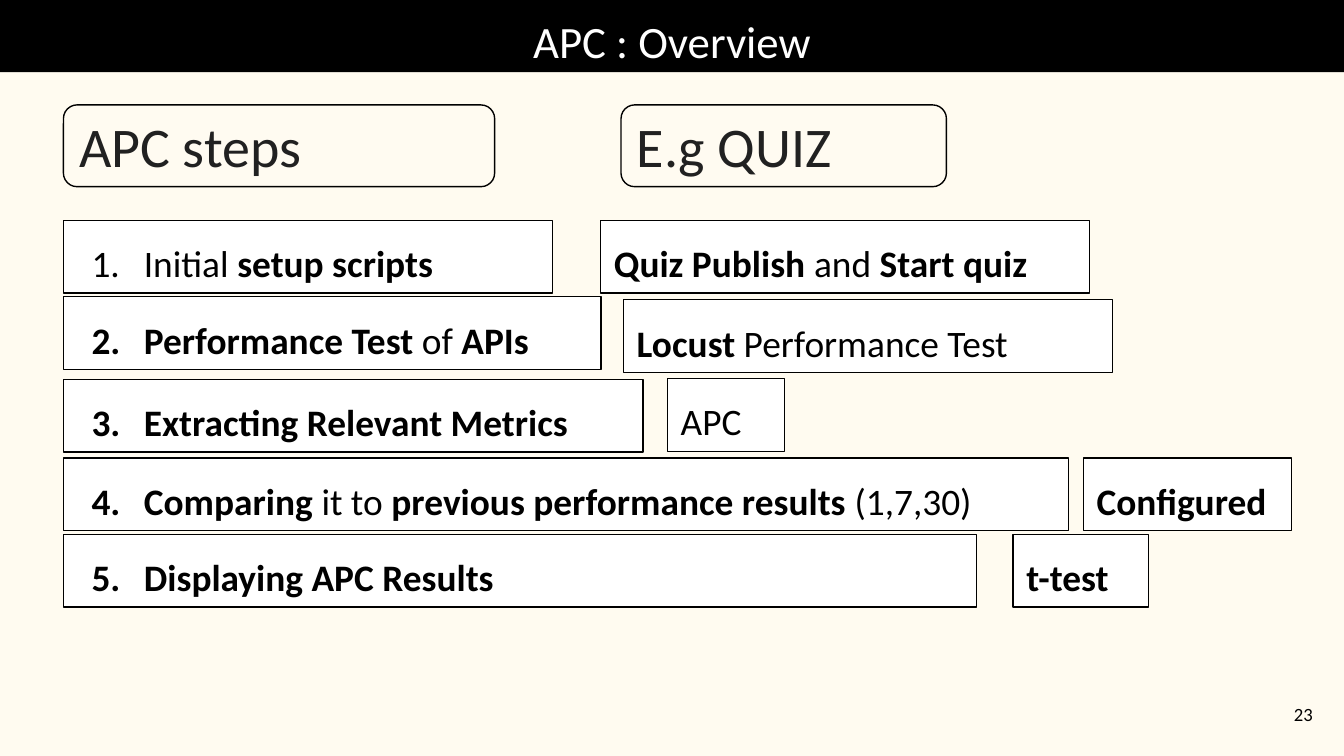
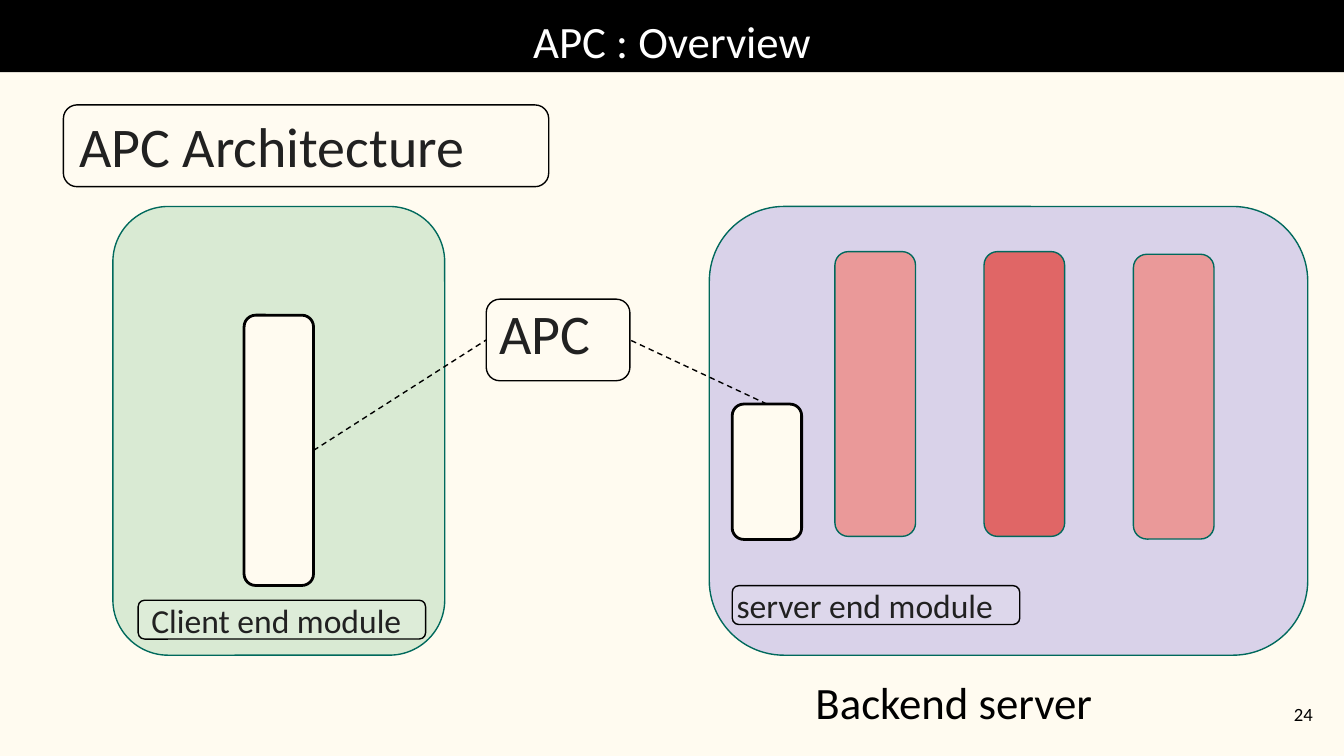
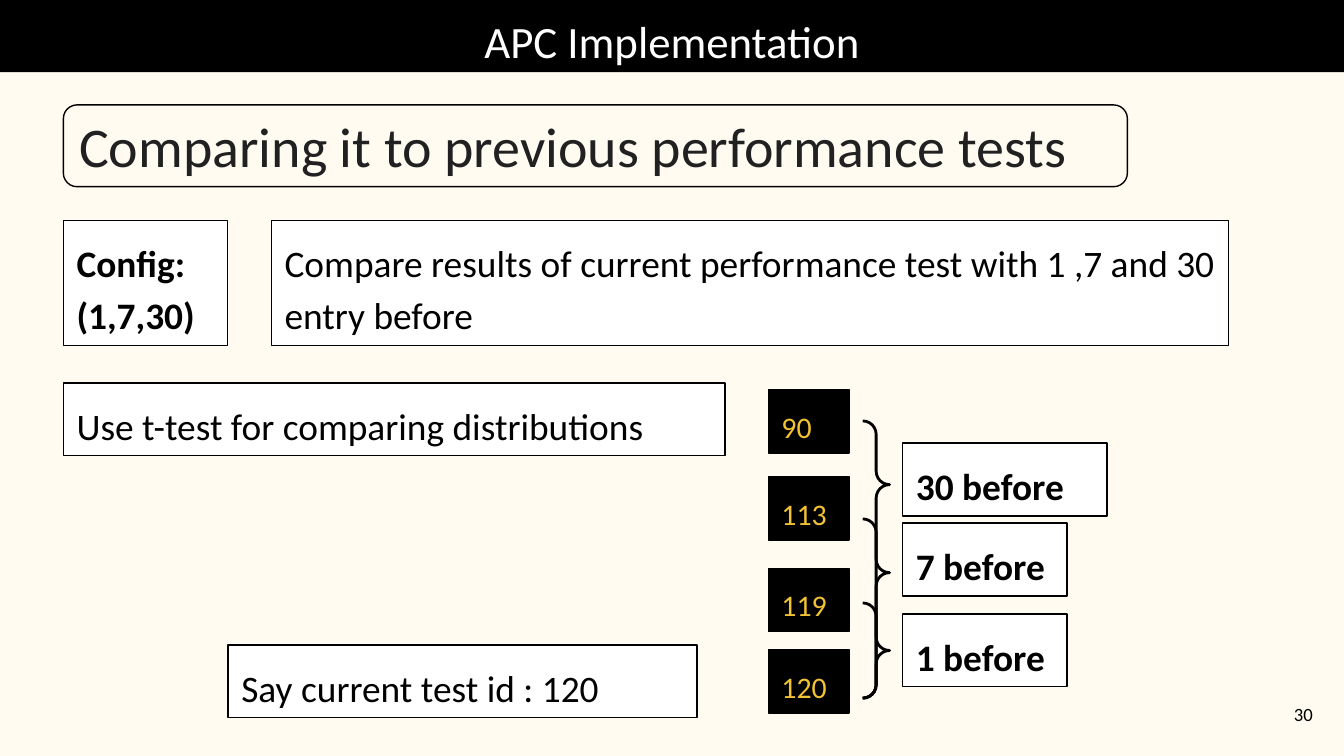
"""Build three slides on the APC performance checker."""
from pptx import Presentation
from pptx import util as u
from pptx.dml import color
from pptx.enum import dml, shapes, text
from pptx.oxml import ns, xmlchemy

FONT = "Calibri"
BLACK, WHITE, CREAM = "000000", "FFFFFF", "FFFBF0"
TEAL, GOLD = "00695C", "F1C232"
GREEN, LILAC, ROSE, RED = "D9EAD3", "D9D2E9", "EA9999", "E06666"
INSET = 7.2
EDGE = 34
ROW_HEIGHT = 39
KIND = shapes.MSO_SHAPE


def rgb(code):
    """Turn a hex string into a colour."""
    return color.RGBColor.from_string(code)


def points(values):
    """Turn plain numbers into lengths in points."""
    return [u.Pt(value) for value in values]


def add_child(parent, tag, **attributes):
    """Append an empty DrawingML element."""
    child = xmlchemy.OxmlElement(tag)
    for name, value in attributes.items():
        child.set(name, str(value))
    parent.append(child)


def draw(slide, kind, place, fill=None, line=BLACK, weight=0.75):
    """Draw a preset shape at (left, top, width, height)."""
    figure = slide.shapes.add_shape(kind, *points(place))
    figure.shadow.inherit = False
    if fill:
        figure.fill.solid()
        figure.fill.fore_color.rgb = rgb(fill)
    else:
        figure.fill.background()
    if line:
        figure.line.color.rgb = rgb(line)
        figure.line.width = u.Pt(weight)
    else:
        figure.line.fill.background()
    return figure


def write(holder, words, size, ink=BLACK, align=text.PP_ALIGN.LEFT,
          anchor=text.MSO_ANCHOR.TOP):
    """Write one paragraph in which *stars* mark the bold parts."""
    frame = holder.text_frame
    frame.word_wrap = True
    frame.auto_size = text.MSO_AUTO_SIZE.NONE
    frame.vertical_anchor = anchor
    frame.margin_left = frame.margin_right = u.Pt(INSET)
    frame.margin_top = frame.margin_bottom = u.Pt(INSET)
    paragraph = frame.paragraphs[0]
    paragraph.alignment = align
    for index, part in enumerate(words.split("*")):
        if part:
            run = paragraph.add_run()
            run.text = part
            run.font.name = FONT
            run.font.size = u.Pt(size)
            run.font.bold = index % 2 == 1
            run.font.color.rgb = rgb(ink)
    return paragraph


def add_label(slide, words, size, left, top, width):
    """Add free text one line high."""
    height = size * 1.22 + 2 * INSET
    label = slide.shapes.add_textbox(*points((left, top, width, height)))
    write(label, words, size)


def add_box(slide, words, place, number=None, size=20, fill=WHITE, ink=BLACK):
    """Add a bordered box of text, numbered if a number is given."""
    paragraph = write(draw(slide, KIND.RECTANGLE, place, fill), words, size, ink)
    paragraph.line_spacing = 1.15
    if number is None:
        paragraph.space_after = u.Pt(16)
        return
    properties = paragraph._p.get_or_add_pPr()
    properties.set("marL", str(u.Pt(36)))
    properties.set("indent", str(u.Pt(-28)))
    add_child(properties, "a:buAutoNum", type="arabicPeriod", startAt=number)


def add_veil(slide, place):
    """Add a rounded outline with a faint white fill."""
    veil = draw(slide, KIND.ROUNDED_RECTANGLE, place, WHITE)
    tint = veil._element.spPr.find(ns.qn("a:solidFill"))[0]
    add_child(tint, "a:alpha", val=13000)
    return veil


def add_heading(slide, words, left, width, text_width=309):
    """Add a large heading under a rounded veil."""
    add_label(slide, words, 30, left + 1.3, 52.6, text_width)
    add_veil(slide, (left, 56.2, width, 43.8))


def link(slide, start, start_site, end, end_site):
    """Join two shapes with a dashed line."""
    dash = slide.shapes.add_connector(shapes.MSO_CONNECTOR.STRAIGHT, 0, 0, 0, 0)
    dash.begin_connect(start, start_site)
    dash.end_connect(end, end_site)
    dash.line.color.rgb = rgb(BLACK)
    dash.line.width = u.Pt(0.75)
    dash.line.dash_style = dml.MSO_LINE.DASH
    add_child(dash._element.spPr, "a:effectLst")


def new_slide(deck, title, page):
    """Add a slide with its title band and page number."""
    slide = deck.slides.add_slide(deck.slide_layouts[6])
    slide.background.fill.solid()
    slide.background.fill.fore_color.rgb = rgb(CREAM)
    band = draw(slide, KIND.RECTANGLE, (0, 0, 720, 38.7), BLACK, None)
    write(band, title, 24, WHITE, text.PP_ALIGN.CENTER)
    folio = slide.shapes.add_textbox(*points((667.2, 367.2, 43.2, 31)))
    write(folio, str(page), 10, align=text.PP_ALIGN.RIGHT,
          anchor=text.MSO_ANCHOR.MIDDLE)
    return slide


def build_steps(deck):
    """Build the list of steps with an example for each."""
    slide = new_slide(deck, "APC : Overview", 23)
    add_heading(slide, "APC steps", EDGE, 231)
    add_heading(slide, "E.g QUIZ", 332.7, 174.3)
    steps = [
        ("Initial *setup scripts*", 118, 262),
        ("*Performance Test *of* APIs*", 159, 288),
        ("*Extracting Relevant Metrics*", 203.2, 310.5),
        ("*Comparing *it to* previous performance results *(1,7,30)", 245.4, 538.5),
        ("*Displaying APC Results*", 286.3, 489),
    ]
    for number, (words, top, width) in enumerate(steps, 1):
        add_box(slide, words, (EDGE, top, width, ROW_HEIGHT), number)
    examples = [
        ("*Quiz Publish *and* Start quiz*", 321.8, 118, 262),
        ("*Locust *Performance Test", 334, 160.5, 262),
        ("APC", 357.6, 202.8, 62.6),
        ("*Configured*", 580.4, 245.4, 111.4),
        ("*t-test*", 542.8, 286.3, 72.4),
    ]
    for words, left, top, width in examples:
        add_box(slide, words, (left, top, width, ROW_HEIGHT))


def build_architecture(deck):
    """Build the diagram of client, checker and backend server."""
    slide = new_slide(deck, "APC : Overview", 24)
    rounded = KIND.ROUNDED_RECTANGLE
    draw(slide, rounded, (60.5, 110.6, 177.8, 240.4), GREEN, TEAL)
    draw(slide, rounded, (380, 110.6, 320.6, 240.4), LILAC, TEAL)
    add_label(slide, "Backend server", 24, 429.8, 354.2, 177.8)
    for left, top, fill in [(447.3, 134.8, ROSE), (527.2, 134.8, RED),
                            (607.2, 136.2, ROSE)]:
        draw(slide, rounded, (left, top, 43.2, 152.6), fill, TEAL)
    client = draw(slide, rounded, (130.8, 168.9, 37.2, 144.8), CREAM, weight=1.5)
    server = draw(slide, rounded, (392.3, 216.5, 37.2, 72.5), CREAM, weight=1.5)
    add_label(slide, "Client end module", 18, 74, 314, 172)
    add_label(slide, "server end module", 18, 387.5, 306.2, 160.6)
    add_veil(slide, (74, 321.6, 154, 20.8))
    add_veil(slide, (392.3, 313.8, 154, 20.8))
    add_label(slide, "APC", 30, 260.5, 152.6, 102)
    checker = add_veil(slide, (260.5, 160.3, 77, 43.7))
    link(slide, client, 3, checker, 1)
    link(slide, server, 0, checker, 3)
    add_heading(slide, "APC Architecture", EDGE, 260)


def build_comparison(deck):
    """Build the comparison of the current test with earlier ones."""
    slide = new_slide(deck, "APC Implementation", 30)
    add_heading(slide, "Comparing it to previous performance tests", EDGE, 570, 608)
    notes = [
        ("*Config: (1,7,30)*", EDGE, 118, 88, 67),
        ("Compare results of current performance test with 1 ,7 and 30 entry before",
         145.4, 118, 512.8, 67),
        ("Use t-test for comparing distributions", EDGE, 205.2, 354.5, ROW_HEIGHT),
        ("Say current test id : 120", 122.2, 345.6, 251.3, ROW_HEIGHT),
    ]
    for words, *place in notes:
        add_box(slide, words, place)
    for test_id, top in [("90", 208.7), ("113", 255.4), ("119", 304.4),
                         ("120", 348)]:
        add_box(slide, test_id, (411.6, top, 43.2, 34), size=16, fill=BLACK,
                ink=GOLD)
    brace_bottom = 374
    spans = [
        ("1 before", 323, 0.5, 329, 88),
        ("7 before", 278, 0.3, 280.3, 88),
        ("30 before", 225.5, 0.23, 237.4, 109.5),
    ]
    for words, brace_top, tip, top, width in spans:
        brace = draw(slide, KIND.RIGHT_BRACE,
                     (462.2, brace_top, 14.4, brace_bottom - brace_top), weight=1.5)
        brace.adjustments[0] = 0.5
        brace.adjustments[1] = tip
        add_box(slide, f"*{words}*", (483.6, top, width, ROW_HEIGHT))


def main():
    """Build the deck and save it."""
    deck = Presentation()
    deck.slide_width, deck.slide_height = points((720, 405))
    build_steps(deck)
    build_architecture(deck)
    build_comparison(deck)
    deck.save("out.pptx")


if __name__ == "__main__":
    main()
